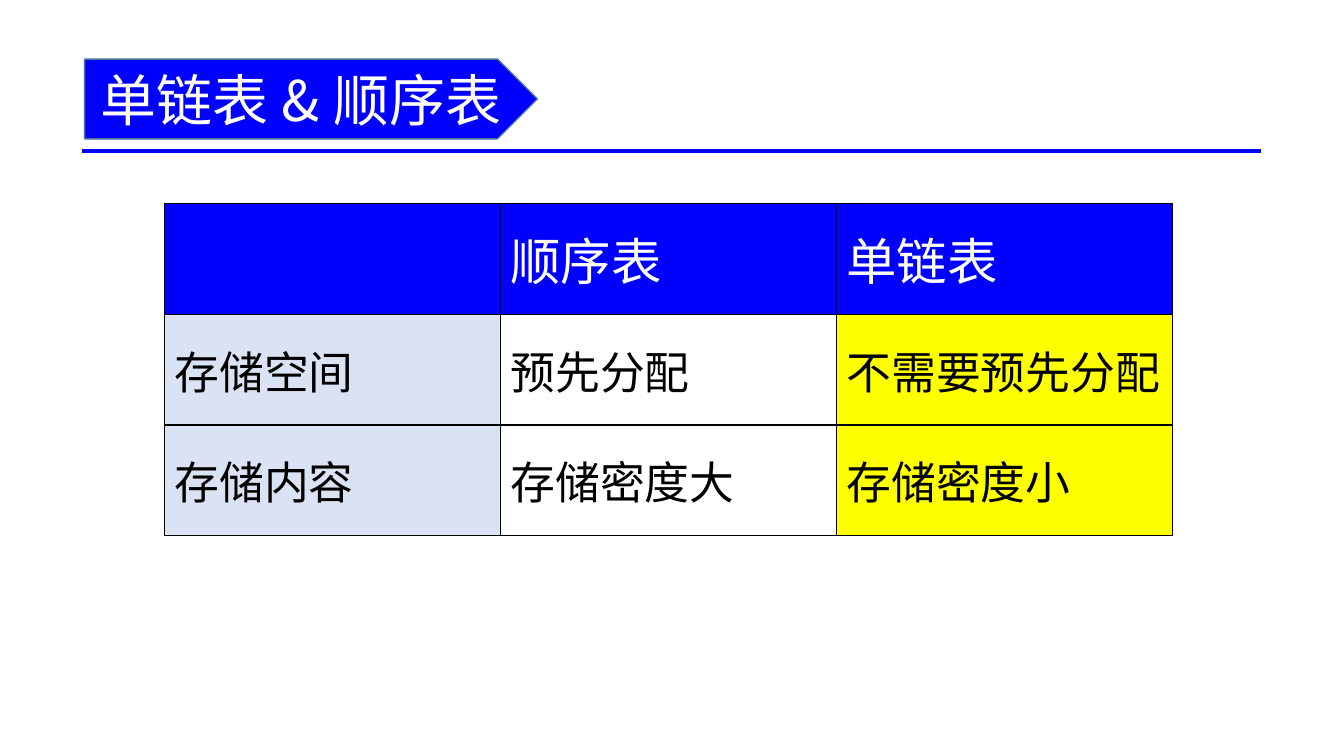
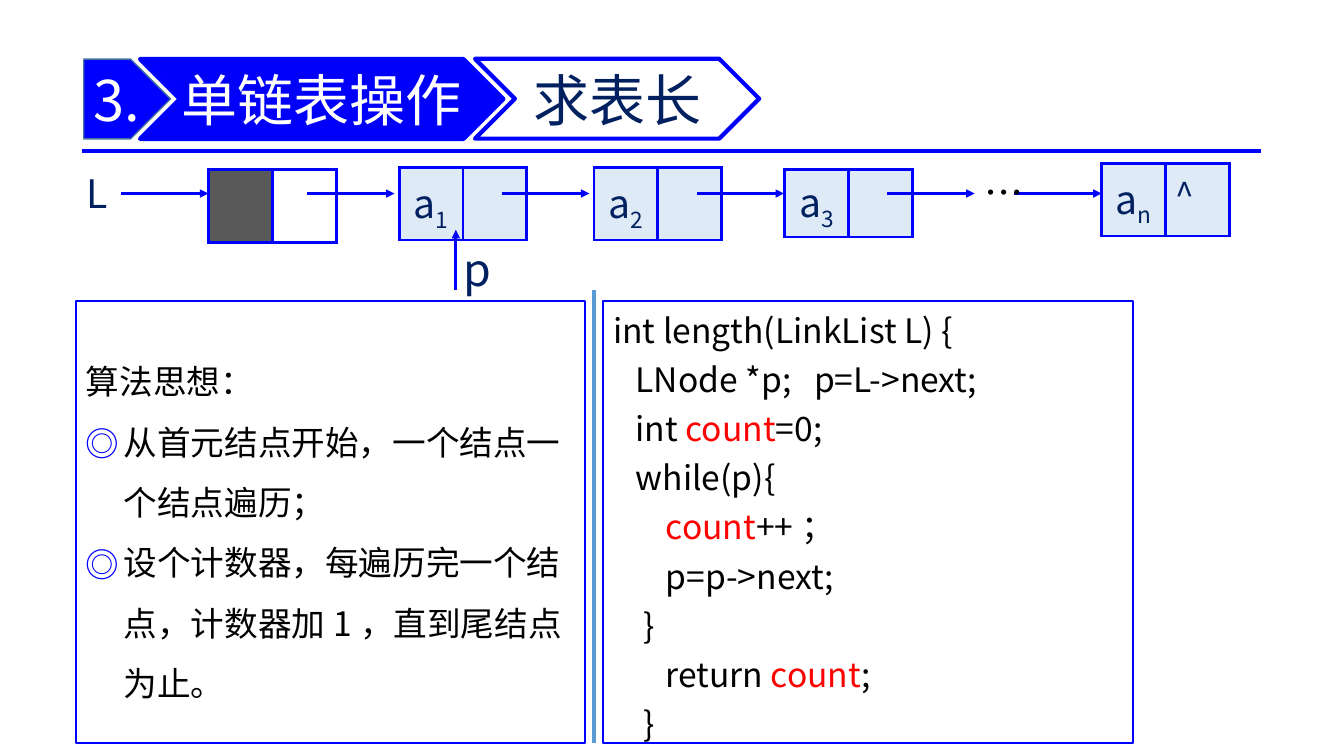
from dataclasses import dataclass

from lxml.etree import SubElement
from pptx import Presentation
from pptx.dml.color import RGBColor
from pptx.enum.shapes import MSO_CONNECTOR, MSO_SHAPE
from pptx.enum.text import MSO_ANCHOR, PP_ALIGN
from pptx.oxml.ns import qn
from pptx.util import Pt

FONT = "Noto Sans CJK SC"
BLUE = RGBColor(0x00, 0x00, 0xFF)
BAND_BLUE = RGBColor(0x00, 0x00, 0xFA)
STEEL = RGBColor(0x43, 0x73, 0x9E)
SKY = RGBColor(0x5B, 0x9B, 0xD5)
NAVY = RGBColor(0x00, 0x20, 0x60)
PALE = RGBColor(0xDE, 0xEB, 0xF7)
LABEL = RGBColor(0xDA, 0xE3, 0xF3)
YELLOW = RGBColor(0xFF, 0xFF, 0x00)
RED = RGBColor(0xFF, 0x00, 0x00)
GRAY = RGBColor(0x59, 0x59, 0x59)
BLACK = RGBColor(0x00, 0x00, 0x00)
WHITE = RGBColor(0xFF, 0xFF, 0xFF)

ARROW_Y = 138.24
CELL_WIDTH = 45.6


@dataclass
class Box:
    left: float
    top: float
    width: float
    height: float

    def lengths(self):
        return Pt(self.left), Pt(self.top), Pt(self.width), Pt(self.height)


@dataclass
class Banner:
    text: str
    preset: MSO_SHAPE
    box: Box
    fill: RGBColor
    line: RGBColor
    line_width: float
    color: RGBColor = WHITE
    align: PP_ALIGN = PP_ALIGN.CENTER
    inset: float = 7.2


@dataclass
class ListNode:
    left: float
    top: float
    subscript: str = ""
    pointer: str = ""
    height: float = 52
    data_fill: RGBColor = PALE
    link_fill: RGBColor = PALE


@dataclass
class Label:
    text: str
    box: Box
    size: float
    color: RGBColor
    wrap: bool = True


# Text
def format_run(run, size: float, color: RGBColor) -> None:
    run.font.size = Pt(size)
    run.font.color.rgb = color
    run.font.name = FONT
    SubElement(run.font._element, qn("a:ea"), typeface=FONT)


def write(text_frame, text: str, size: float, color: RGBColor,
          align: PP_ALIGN = PP_ALIGN.LEFT) -> None:
    text_frame.text = text
    for paragraph in text_frame.paragraphs:
        paragraph.alignment = align
        for run in paragraph.runs:
            format_run(run, size, color)


def add_bullet(paragraph, symbol: str, color: RGBColor, indent: float) -> None:
    properties = paragraph._p.get_or_add_pPr()
    properties.set("marL", str(Pt(indent)))
    properties.set("indent", str(-Pt(indent)))
    bullet_color = SubElement(properties, qn("a:buClr"))
    SubElement(bullet_color, qn("a:srgbClr"), val=str(color))
    SubElement(properties, qn("a:buFont"), typeface=FONT)
    SubElement(properties, qn("a:buChar"), char=symbol)


# Shapes and lines
def add_shape(slide, preset: MSO_SHAPE, box: Box, fill: RGBColor,
              line: RGBColor, line_width: float):
    shape = slide.shapes.add_shape(preset, *box.lengths())
    shape.shadow.inherit = False
    shape.fill.solid()
    shape.fill.fore_color.rgb = fill
    shape.line.color.rgb = line
    shape.line.width = Pt(line_width)
    shape.text_frame.word_wrap = True
    shape.text_frame.vertical_anchor = MSO_ANCHOR.MIDDLE
    return shape


def add_line(slide, start: tuple[float, float], end: tuple[float, float],
             color: RGBColor = BLUE, width: float = 3, arrow: bool = False) -> None:
    connector = slide.shapes.add_connector(
        MSO_CONNECTOR.STRAIGHT, *map(Pt, start), *map(Pt, end))
    connector.line.color.rgb = color
    connector.line.width = Pt(width)
    if arrow:
        SubElement(connector.line._get_or_add_ln(), qn("a:tailEnd"), type="triangle")
    SubElement(connector._element.spPr, qn("a:effectLst"))


def add_label(slide, label: Label) -> None:
    text_box = slide.shapes.add_textbox(*label.box.lengths())
    text_box.text_frame.word_wrap = label.wrap
    write(text_box.text_frame, label.text, label.size, label.color)


# Tables
def add_table(slide, box: Box, rows: int, columns: int):
    table = slide.shapes.add_table(rows, columns, *box.lengths()).table
    table.first_row = table.horz_banding = False
    return table


def style_cell(cell, fill: RGBColor, border: RGBColor, border_width: float) -> None:
    properties = cell._tc.get_or_add_tcPr()
    for side in ("a:lnL", "a:lnR", "a:lnT", "a:lnB"):
        edge = SubElement(properties, qn(side), w=str(Pt(border_width)))
        edge_fill = SubElement(edge, qn("a:solidFill"))
        SubElement(edge_fill, qn("a:srgbClr"), val=str(border))
    cell.fill.solid()
    cell.fill.fore_color.rgb = fill


def add_node(slide, node: ListNode) -> None:
    box = Box(node.left, node.top, 2 * CELL_WIDTH, node.height)
    table = add_table(slide, box, 1, 2)
    data, link = table.cell(0, 0), table.cell(0, 1)
    style_cell(data, node.data_fill, BLUE, 2.25)
    style_cell(link, node.link_fill, BLUE, 2.25)
    if node.subscript:
        data.vertical_anchor = MSO_ANCHOR.MIDDLE
        data.margin_top = data.margin_bottom = Pt(2)
        write(data.text_frame, "a", 28, NAVY, PP_ALIGN.CENTER)
        subscript = data.text_frame.paragraphs[0].add_run()
        subscript.text = node.subscript
        format_run(subscript, 28, NAVY)
        subscript.font._element.set("baseline", "-25000")
    if node.pointer:
        write(link.text_frame, node.pointer, 24, NAVY)


# Title band shared by the slides
def add_titled_slide(presentation, banners: list[Banner]):
    slide = presentation.slides.add_slide(presentation.slide_layouts[6])
    add_line(slide, (58.3, 108), (900.7, 108))
    for banner in banners:
        shape = add_shape(slide, banner.preset, banner.box, banner.fill,
                          banner.line, banner.line_width)
        text_frame = shape.text_frame
        text_frame.margin_left = text_frame.margin_right = Pt(banner.inset)
        write(text_frame, banner.text, 40, banner.color, banner.align)
    return slide


def build_comparison(presentation) -> None:
    slide = add_titled_slide(presentation, [
        Banner("单链表&顺序表", MSO_SHAPE.PENTAGON, Box(60.5, 42.2, 323.3, 57),
               BLUE, STEEL, 1),
    ])
    rows = [
        ("", "顺序表", "单链表"),
        ("存储空间", "预先分配", "不需要预先分配"),
        ("存储内容", "存储密度大", "存储密度小"),
    ]
    body_fills = (LABEL, WHITE, YELLOW)
    table = add_table(slide, Box(117.4, 145.4, 720, 237.3), 3, 3)
    for row_index, row in enumerate(rows):
        header = row_index == 0
        for column_index, text in enumerate(row):
            cell = table.cell(row_index, column_index)
            style_cell(cell, BLUE if header else body_fills[column_index], BLACK, 1)
            cell.vertical_anchor = MSO_ANCHOR.MIDDLE
            write(cell.text_frame, text, 36 if header else 32,
                  WHITE if header else BLACK)


def add_idea_panel(slide) -> None:
    panel = add_shape(slide, MSO_SHAPE.RECTANGLE, Box(54.3, 215.3, 363.6, 315.4),
                      WHITE, BLUE, 1.5)
    write(panel.text_frame, "\n".join([
        "算法思想：",
        "从首元结点开始，一个结点一个结点遍历；",
        "设个计数器，每遍历完一个结点，计数器加1，直到尾结点为止。",
    ]), 24, BLACK)
    for index, paragraph in enumerate(panel.text_frame.paragraphs):
        paragraph.line_spacing = 1.5
        if index:
            add_bullet(paragraph, "◎", BLUE, 27)


def add_code_panel(slide) -> None:
    panel = add_shape(slide, MSO_SHAPE.RECTANGLE, Box(430.9, 215.3, 378.4, 315.4),
                      WHITE, BLUE, 1.5)
    code = [
        "int length(LinkList L) {",
        "   LNode *p;   p=L->next;",
        "   int count=0;",
        "   while(p){",
        "       count++；",
        "       p=p->next;",
        "    }",
        "       return count;",
        "    }",
    ]
    panel.text_frame.text = "\n".join(code)
    for paragraph, line in zip(panel.text_frame.paragraphs, code):
        paragraph.alignment = PP_ALIGN.LEFT
        paragraph.line_spacing = Pt(35)
        before, counter, after = line.partition("count")
        paragraph.runs[0].text = before
        format_run(paragraph.runs[0], 24, BLACK)
        for text, color in ((counter, RED), (after, BLACK)):
            if text:
                run = paragraph.add_run()
                run.text = text
                format_run(run, 24, color)


def build_length_operation(presentation) -> None:
    slide = add_titled_slide(presentation, [
        Banner("3.", MSO_SHAPE.PENTAGON, Box(59.8, 42.2, 62, 57), BLUE, STEEL, 1,
               align=PP_ALIGN.LEFT),
        Banner("单链表操作", MSO_SHAPE.CHEVRON, Box(100, 42.2, 259.5, 57),
               BAND_BLUE, BLUE, 3, inset=0),
        Banner("求表长", MSO_SHAPE.CHEVRON, Box(339.3, 42, 203, 57),
               WHITE, BLUE, 3, color=NAVY),
    ])

    # Algorithm and code
    add_idea_panel(slide)
    add_code_panel(slide)
    add_line(slide, (424.2, 207.4), (424.2, 530.6), SKY)

    # Linked list
    for node in (
        ListNode(149.1, 121, data_fill=GRAY, link_fill=WHITE),
        ListNode(285.1, 119.5, "1"),
        ListNode(424.2, 119.5, "2"),
        ListNode(560.5, 121.3, "3", height=46),
        ListNode(787, 116.6, "n", "^"),
    ):
        add_node(slide, node)
    for left in (86.4, 219.4, 358.6, 497.6, 633.8, 724.5):
        add_line(slide, (left, ARROW_Y), (left + 62.4, ARROW_Y), width=2, arrow=True)
    add_line(slide, (325.6, 207.4), (325.6, 164.2), width=2, arrow=True)
    for label in (
        Label("L", Box(54.7, 117.4, 26, 41), 28, NAVY),
        Label("p", Box(324, 169.2, 35.3, 46), 32, NAVY, wrap=False),
        Label("…", Box(696.2, 116.6, 48.2, 41), 28, BLACK),
    ):
        add_label(slide, label)


def main() -> None:
    presentation = Presentation()
    presentation.slide_width, presentation.slide_height = Pt(960), Pt(540)
    build_comparison(presentation)
    build_length_operation(presentation)
    presentation.save("out.pptx")


if __name__ == "__main__":
    main()
